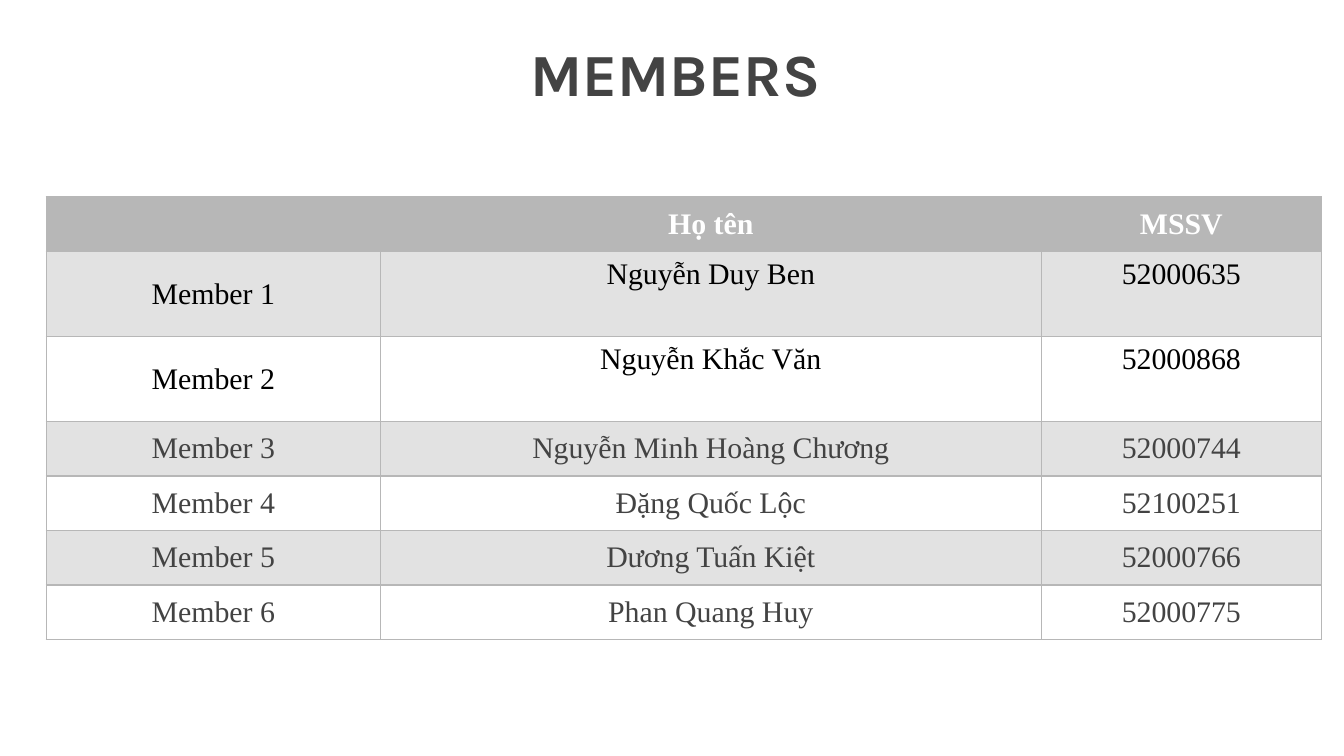
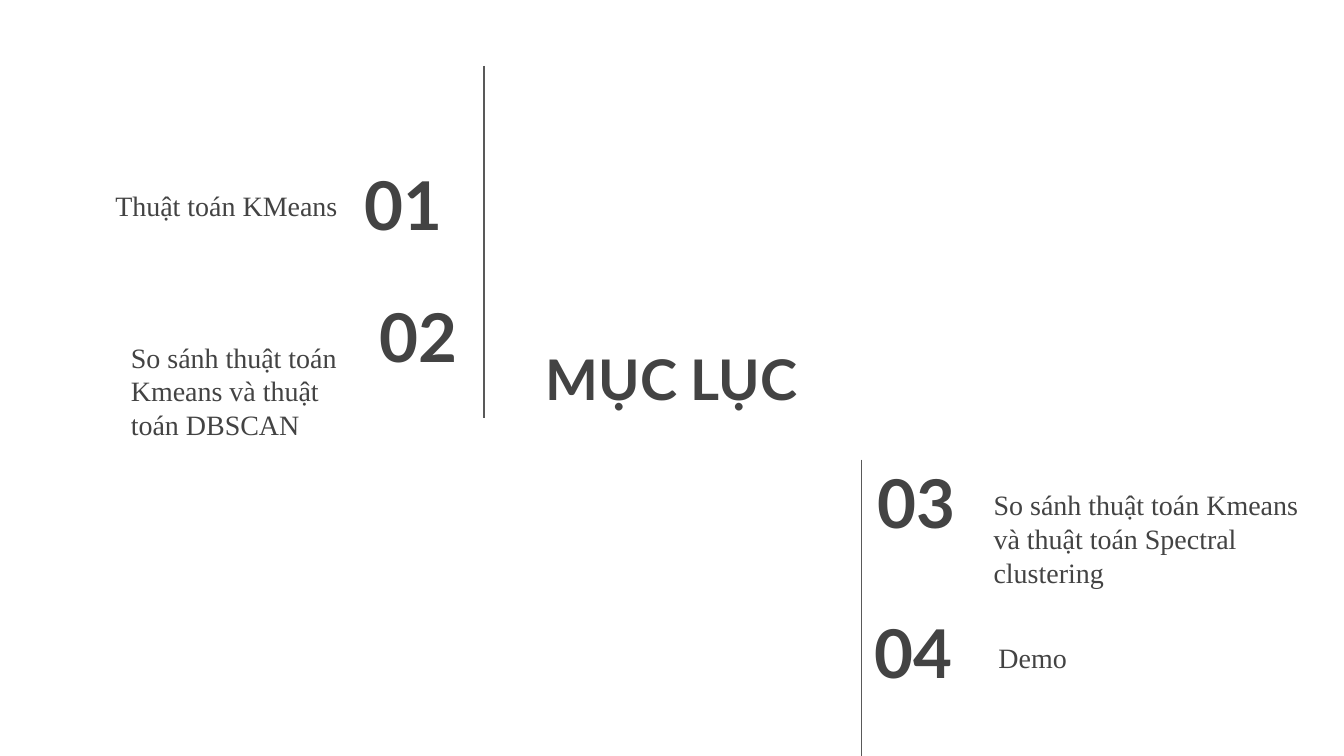
from lxml.etree import SubElement as Sub
from pptx import Presentation
from pptx.dml.color import RGBColor
from pptx.enum.shapes import MSO_CONNECTOR as Conn
from pptx.enum.text import MSO_ANCHOR as Anchor, MSO_AUTO_SIZE as Fit, PP_ALIGN as Align
from pptx.oxml.ns import qn
from pptx.util import Pt

DARK, GREY, RULE = "434343", "B7B7B7", "595959"
SERIF, HEAD = "Times New Roman", "Lato"


def color(code):
    return RGBColor.from_string(code)


def write(frame, text, size, name, code=DARK, bold=False, align=Align.LEFT):
    """Put one formatted run in the first paragraph of a frame."""
    par = frame.paragraphs[0]
    par.alignment = align
    run = par.add_run()
    run.text = text
    font = run.font
    font.size, font.name, font.bold = Pt(size), name, bold
    font.color.rgb = color(code)
    return par


prs = Presentation()
prs.slide_width, prs.slide_height = Pt(720), Pt(405)
layout = prs.slide_layouts[5]
slides = [prs.slides.add_slide(layout) for _ in range(2)]

# Titles: text, box, font, size, alignment, anchor, top and bottom margin
heads = [
    ("MEMBERS", (277, 16, 179, 46), "Karla", 32, Align.LEFT, Anchor.TOP, 3.6),
    ("MỤC LỤC", (266.5, 165.5, 186.5, 74), HEAD, 30, Align.CENTER, Anchor.MIDDLE, 7.2),
]
for slide, (text, box, name, size, align, anchor, pad) in zip(slides, heads):
    title = slide.shapes.title
    title.left, title.top, title.width, title.height = map(Pt, box)
    frame = title.text_frame
    frame.auto_size = Fit.NONE
    frame.vertical_anchor = anchor
    frame.margin_top = frame.margin_bottom = Pt(pad)
    write(frame, text, size, name, bold=True, align=align)

members, agenda = slides

# Members table
people = [
    ("Nguyễn Duy Ben", "52000635"),
    ("Nguyễn Khắc Văn", "52000868"),
    ("Nguyễn Minh Hoàng Chương", "52000744"),
    ("Đặng Quốc Lộc", "52100251"),
    ("Dương Tuấn Kiệt", "52000766"),
    ("Phan Quang Huy", "52000775"),
]
rows = [("", "Họ tên", "MSSV")]
rows += [(f"Member {n}", *who) for n, who in enumerate(people, 1)]
widths = [179, 354, 150.2]
heights = [29.2, 45.6, 45.6] + [29.2] * 4
table = members.shapes.add_table(
    len(rows), 3, Pt(24.8), Pt(105.5), Pt(sum(widths)), Pt(sum(heights))).table
table.first_row = table.horz_banding = False
for col, width in zip(table.columns, widths):
    col.width = Pt(width)
for r, row in enumerate(rows):
    table.rows[r].height = Pt(heights[r])
    tall = r in (1, 2)
    ink = "FFFFFF" if r == 0 else "000000" if tall else DARK
    for c, text in enumerate(row):
        cell = table.cell(r, c)
        cell.margin_left = cell.margin_right = Pt(7.2)
        cell.margin_top = cell.margin_bottom = Pt(3.6)
        cell.vertical_anchor = Anchor.TOP if tall and c else Anchor.MIDDLE
        if text:
            write(cell.text_frame, text, 16, SERIF, ink, r == 0, Align.CENTER)
        props = cell._tc.get_or_add_tcPr()
        for side in ("lnL", "lnR", "lnT", "lnB"):
            edge = Sub(props, qn(f"a:{side}"), w=str(Pt(0.75)))
            Sub(Sub(edge, qn("a:solidFill")), qn("a:srgbClr"), val=GREY)
        if r and r % 2 == 0:
            cell.fill.background()
            continue
        cell.fill.solid()
        cell.fill.fore_color.rgb = color(GREY)
        if r:
            tint = props.find(qn("a:solidFill")).find(qn("a:srgbClr"))
            Sub(tint, qn("a:alpha"), val="40000")

# Agenda: number box, number alignment, topic, topic box, topic alignment, indent
topics = [
    ("01", (157, 86.4, 87), Align.RIGHT,
     "Thuật toán KMeans", (16.5, 93.6, 171.5), Align.RIGHT, 0),
    ("02", (165, 157, 87), Align.RIGHT,
     "So sánh thuật toán Kmeans và thuật toán DBSCAN", (54, 175, 150.5), Align.LEFT, 9),
    ("03", (432, 246.2, 87), Align.RIGHT,
     "So sánh thuật toán Kmeans và thuật toán Spectral clustering",
     (516.2, 254.2, 198), Align.LEFT, 9),
    ("04", (461.5, 326.2, 84.2), Align.LEFT,
     "Demo", (527.8, 336.2, 186.5), Align.LEFT, 0),
]
for num, spot, side, topic, place, align, indent in topics:
    parts = [
        (num, spot, 36, HEAD, True, side, Anchor.MIDDLE, 0),
        (topic, place, 15, SERIF, False, align, Anchor.TOP, indent),
    ]
    for text, (x, y, w), size, name, bold, way, anchor, left in parts:
        frame = agenda.shapes.add_textbox(Pt(x), Pt(y), Pt(w), Pt(45.4)).text_frame
        frame.word_wrap = True
        frame.vertical_anchor = anchor
        frame.margin_top = frame.margin_bottom = Pt(7.2)
        par = write(frame, text, size, name, bold=bold, align=way)
        if left:
            par._p.get_or_add_pPr().set("marL", str(Pt(left)))

for x, top, end in [(259.2, 35.3, 224), (461.5, 246.2, 405)]:
    line = agenda.shapes.add_connector(Conn.STRAIGHT, Pt(x), Pt(top), Pt(x), Pt(end))
    line.line.width = Pt(0.75)
    line.line.color.rgb = color(RULE)
    Sub(line._element.spPr, qn("a:effectLst"))

prs.save("out.pptx")
